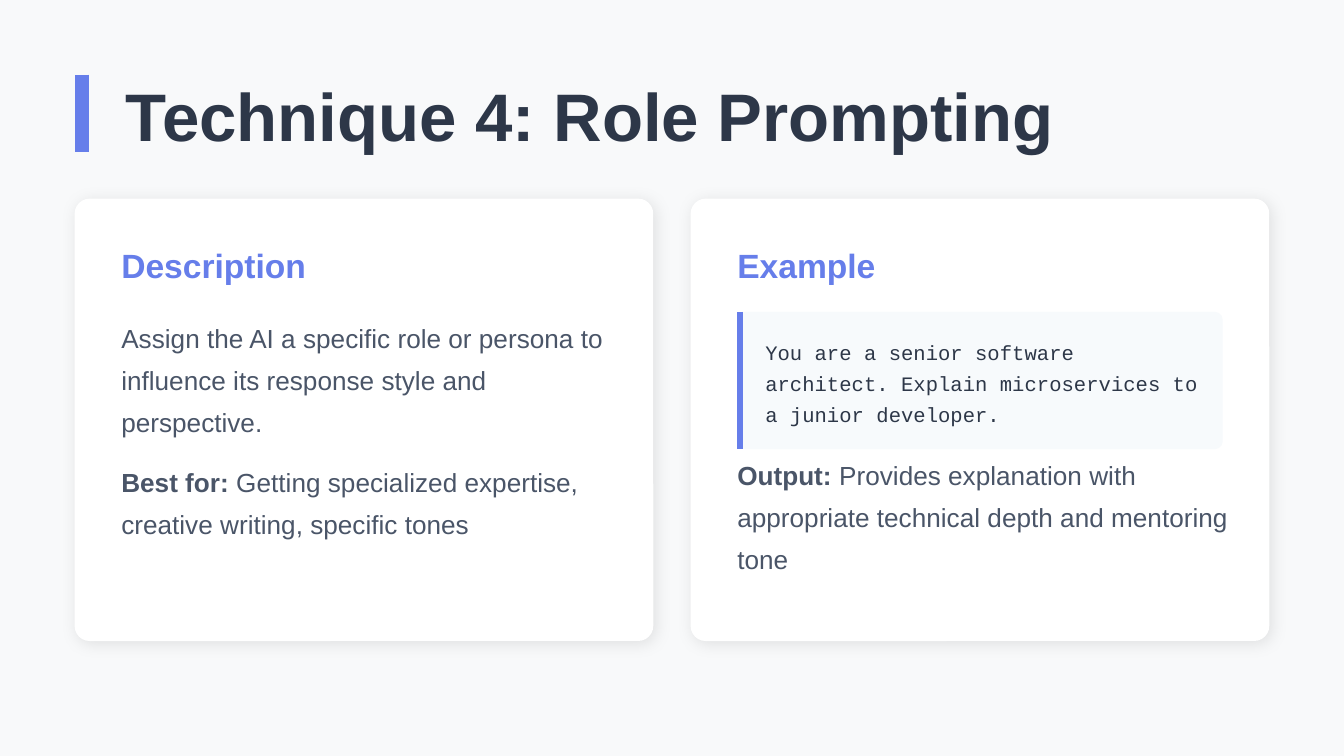
from dataclasses import dataclass

import lxml.etree
import pptx
import pptx.dml.color
import pptx.enum.shapes
import pptx.oxml.ns
import pptx.util

# Two-column grid, in points
SLIDE_W, SLIDE_H = 720, 405
MARGIN, GAP, PAD = 40, 20, 25
TITLE_Y, TITLE_H = MARGIN, 41.4
CARD_Y, CARD_H = TITLE_Y + TITLE_H + PAD, 237
CARD_W = (SLIDE_W - 2 * MARGIN - GAP) / 2
HEADING_Y, HEADING_H = CARD_Y + PAD, 20.7
BODY_Y = HEADING_Y + HEADING_H + 15
TEXT_W, LINE_H, PARA_GAP = 265.2, 22.4, 10
CODE_W, CODE_LINE_H, CODE_PAD = 260, 16.5, 12
CODE_TEXT_H = 3 * CODE_LINE_H
CODE_H = CODE_TEXT_H + 2 * CODE_PAD

ACCENT, DARK, BODY = "667EEA", "2D3748", "4A5568"
MSO = pptx.enum.shapes


@dataclass(frozen=True)
class Box:
    x: float
    y: float
    w: float
    h: float

    def emu(self) -> list:
        return [pptx.util.Pt(v) for v in (self.x, self.y, self.w, self.h)]


@dataclass(frozen=True)
class Style:
    size: float
    color: str
    bold: bool = False
    font: str = "Arial"
    spacing: float = 0
    after: float = 0


@dataclass(frozen=True)
class Body:
    lines: int
    text: str
    label: str = ""


@dataclass(frozen=True)
class Card:
    heading: str
    bodies: tuple
    code: str = ""


TITLE = Style(36, DARK, bold=True)
HEADING = Style(18, ACCENT, bold=True, after=15)
TEXT = Style(14, BODY, spacing=LINE_H, after=PARA_GAP)
CODE = Style(11, DARK, font="Courier New", spacing=CODE_LINE_H)

CARDS = (
    Card("Description", (
        Body(3, "Assign the AI a specific role or persona to influence "
                "its response style and perspective."),
        Body(2, " Getting specialized expertise, creative writing, "
                "specific tones", "Best for:"),
    )),
    Card("Example", (
        Body(3, " Provides explanation with appropriate technical "
                "depth and mentoring tone", "Output:"),
    ), "You are a senior software architect. Explain microservices to "
       "a junior developer."),
)


def rgb(value: str) -> pptx.dml.color.RGBColor:
    return pptx.dml.color.RGBColor.from_string(value)


def add_text(s, box: Box, style: Style, text: str, label: str = "") -> None:
    tf = s.shapes.add_textbox(*box.emu()).text_frame
    tf.word_wrap = True
    tf.margin_left = tf.margin_right = tf.margin_top = tf.margin_bottom = 0
    p = tf.paragraphs[0]
    if style.spacing:
        p.line_spacing = pptx.util.Pt(style.spacing)
    if style.after:
        p.space_after = pptx.util.Pt(style.after)
    for part, bold in ((label, True), (text, style.bold)):
        if part:
            r = p.add_run()
            r.text = part
            r.font.name = style.font
            r.font.size = pptx.util.Pt(style.size)
            r.font.bold = bold
            r.font.color.rgb = rgb(style.color)


def add_panel(s, box: Box, fill: str, radius: float):
    sp = s.shapes.add_shape(MSO.MSO_SHAPE.ROUNDED_RECTANGLE, *box.emu())
    sp.adjustments[0] = radius
    sp.shadow.inherit = False
    sp.fill.solid()
    sp.fill.fore_color.rgb = rgb(fill)
    sp.line.fill.background()
    return sp


def add_soft_shadow(sp) -> None:
    qn, sub = pptx.oxml.ns.qn, lxml.etree.SubElement
    effects = sp._element.spPr.find(qn("a:effectLst"))
    shadow = sub(effects, qn("a:outerShdw"), blurRad=str(pptx.util.Pt(9)),
                 dist=str(pptx.util.Pt(2.1)), dir=str(45 * 60000),
                 algn="bl", rotWithShape="0")
    color = sub(shadow, qn("a:srgbClr"), val="000000")
    sub(color, qn("a:alpha"), val="10000")


def add_bar(s, x: float, y: float, h: float, width: float) -> None:
    bar = s.shapes.add_connector(MSO.MSO_CONNECTOR.STRAIGHT,
                                 *[pptx.util.Pt(v) for v in (x, y, x, y + h)])
    bar.line.color.rgb = rgb(ACCENT)
    bar.line.width = pptx.util.Pt(width)
    lxml.etree.SubElement(bar._element.spPr, pptx.oxml.ns.qn("a:effectLst"))


def add_card(s, column: int, card: Card) -> None:
    left = MARGIN + column * (CARD_W + GAP)
    x, y = left + PAD, BODY_Y
    add_soft_shadow(add_panel(s, Box(left, CARD_Y, CARD_W, CARD_H), "FFFFFF", 0.034))
    add_text(s, Box(x, HEADING_Y, TEXT_W, HEADING_H), HEADING, card.heading)
    # Code sample with an accent bar on its left edge
    if card.code:
        add_panel(s, Box(x, y, CODE_W, CODE_H), "F7FAFC", 0.054)
        add_bar(s, x + 1.5, y, CODE_H, 3)
        add_text(s, Box(x + 15, y + CODE_PAD, 237.6, CODE_TEXT_H), CODE, card.code)
        y += CODE_H
    # Body paragraphs stacked downwards
    for body in card.bodies:
        h = body.lines * LINE_H
        add_text(s, Box(x, y, TEXT_W, h), TEXT, body.text, body.label)
        y += h + PARA_GAP


def main() -> None:
    prs = pptx.Presentation()
    prs.slide_width = pptx.util.Pt(SLIDE_W)
    prs.slide_height = pptx.util.Pt(SLIDE_H)
    s = prs.slides.add_slide(prs.slide_layouts[6])
    s.background.fill.solid()
    s.background.fill.fore_color.rgb = rgb("F8F9FA")

    # Title with accent bar
    add_bar(s, MARGIN + 3.75, TITLE_Y, TITLE_H, 7.5)
    add_text(s, Box(67.5, TITLE_Y, 625, TITLE_H), TITLE,
             "Technique 4: Role Prompting")

    # Side-by-side cards
    for column, card in enumerate(CARDS):
        add_card(s, column, card)
    prs.save("out.pptx")


if __name__ == "__main__":
    main()
